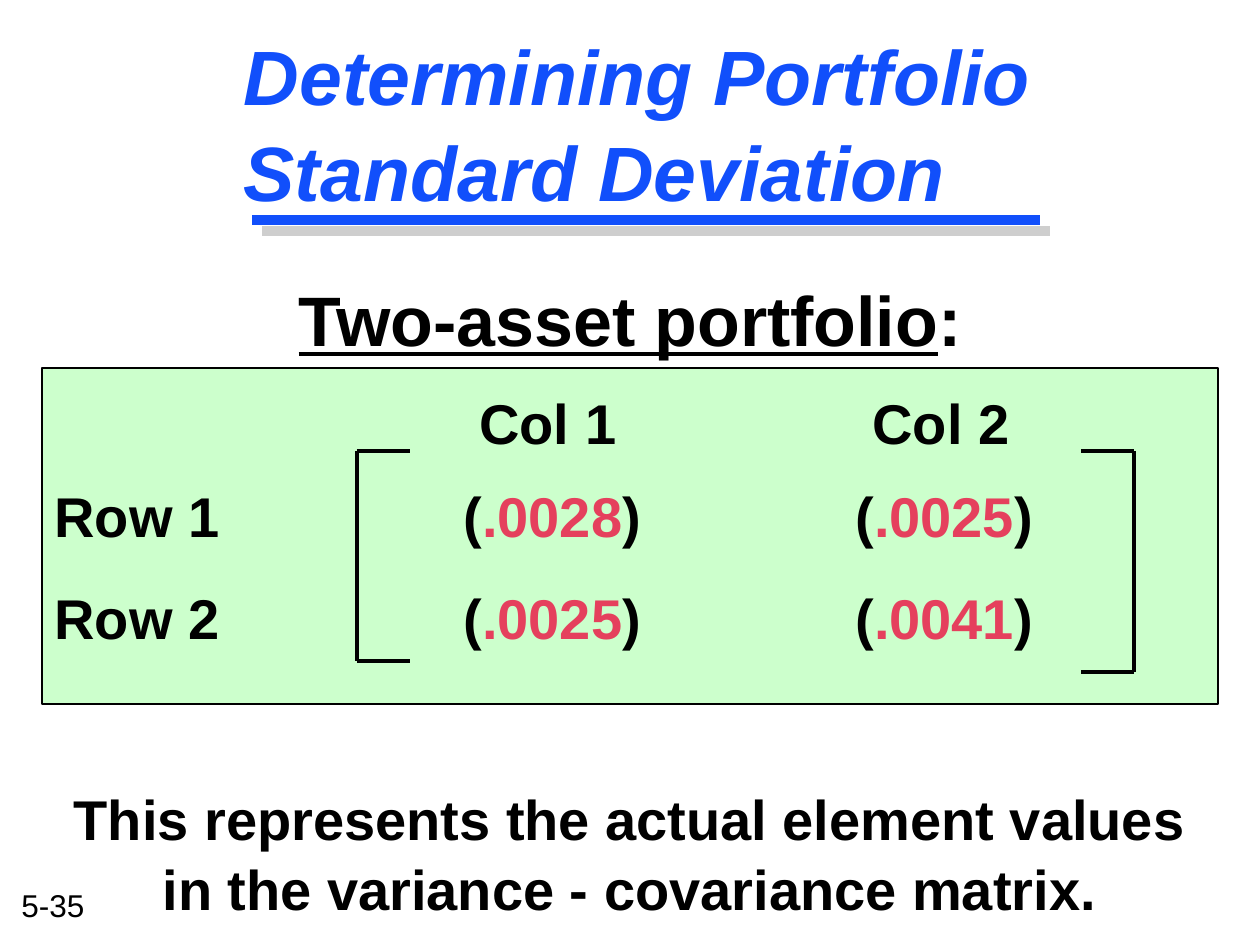
from pptx import Presentation
from pptx.dml.color import RGBColor
from pptx.enum.shapes import MSO_CONNECTOR, MSO_SHAPE
from pptx.enum.text import MSO_ANCHOR, PP_ALIGN
from pptx.oxml import parse_xml
from pptx.oxml.ns import nsdecls
from pptx.util import Emu, Pt
from lxml.etree import SubElement
from pptx.oxml.ns import qn

PX = 914400 / 126
BLACK = RGBColor(0x00, 0x00, 0x00)
BLUE = RGBColor(0x11, 0x4F, 0xFB)
GREY = RGBColor(0xCE, 0xCE, 0xCE)
GREEN = RGBColor(0xCC, 0xFF, 0xCC)
RED = RGBColor(0xE5, 0x40, 0x5D)


def add_run(paragraph, text, size, color=BLACK, bold=True):
    run = paragraph.add_run()
    run.text = text
    run.font.name = "Arial"
    run.font.size = Pt(size)
    run.font.bold = bold
    run.font.color.rgb = color
    return run


def add_line(x1, y1, x2, y2, color, width):
    ends = [Emu(round(v * PX)) for v in (x1, y1, x2, y2)]
    line = slide.shapes.add_connector(MSO_CONNECTOR.STRAIGHT, *ends)
    line.line.color.rgb = color
    line.line.width = Pt(width)
    SubElement(line._element.spPr, qn("a:effectLst"))


prs = Presentation()
prs.slide_width, prs.slide_height = round(1260 * PX), round(945 * PX)
slide = prs.slides.add_slide(prs.slide_layouts[5])

# Slide number
number = slide.shapes.add_textbox(*[round(v * PX) for v in (9, 880, 92, 50)])
number.text_frame.word_wrap = False
add_run(number.text_frame.paragraphs[0], "5-35", 18, bold=False)

# Matrix panel
panel = slide.shapes.add_shape(
    MSO_SHAPE.RECTANGLE, *[round(v * PX) for v in (42, 368, 1176, 336)])
panel.shadow.inherit = False
panel.fill.solid()
panel.fill.fore_color.rgb = GREEN
panel.line.color.rgb = BLACK
panel.line.width = Pt(1)

# Heading, matrix rows and conclusion
body = slide.shapes.add_textbox(*[round(v * PX) for v in (42, 270, 1176, 654)])
body.text_frame.word_wrap = True
heading = body.text_frame.paragraphs[0]
heading.alignment = PP_ALIGN.CENTER
add_run(heading, "Two-asset portfolio", 40).font.underline = True
add_run(heading, ":", 40)

# Label, cells, gap above, tab stops
matrix_rows = [
    ("", ("Col 1", "Col 2"), 26, (425, 818)),
    ("Row 1", (".0028", ".0025"), 23, (409, 801)),
    ("Row 2", (".0025", ".0041"), 32, (409, 801)),
]
for label, cells, gap, stops in matrix_rows:
    row = body.text_frame.add_paragraph()
    row.space_before = Emu(round(gap * PX))
    row.line_spacing = 1.04
    tabs = SubElement(row._p.get_or_add_pPr(), qn("a:tabLst"))
    for stop in stops:
        SubElement(tabs, qn("a:tab"), pos=str(round(stop * PX)), algn="l")
    if label:
        add_run(row, label, 32)
    for cell in cells:
        if label:
            add_run(row, "\t(", 32)
            add_run(row, cell, 32, RED)
            add_run(row, ")", 32)
        else:
            add_run(row, "\t" + cell, 32)

conclusion = body.text_frame.add_paragraph()
conclusion.alignment = PP_ALIGN.CENTER
conclusion.space_before = Emu(round(131 * PX))
conclusion.line_spacing = 1.04
add_run(conclusion, "This represents the actual element values "
        "in the variance - covariance matrix.", 32)

# Title with shadowed text
add_line(262, 231, 1050, 231, GREY, 6)
title = slide.shapes.title
title.left, title.top, title.width, title.height = [
    round(v * PX) for v in (231, 0, 1018, 242)]
title.text_frame.vertical_anchor = MSO_ANCHOR.MIDDLE
title.text_frame.word_wrap = True
title_line = title.text_frame.paragraphs[0]
title_line.alignment = PP_ALIGN.LEFT
title_line.line_spacing = 1.04
title_run = add_run(title_line, "Determining Portfolio Standard Deviation", 44, BLUE)
title_run.font.italic = True
title_run.font._element.find(qn("a:solidFill")).addnext(parse_xml(
    f'<a:effectLst {nsdecls("a")}><a:outerShdw dist="53882" dir="2700000">'
    f'<a:srgbClr val="{GREY}"/></a:outerShdw></a:effectLst>'))
add_line(252, 220, 1040, 220, BLUE, 6)

# Matrix brackets: spine, tip, bottom
top = 451
for spine, tip, bottom in [(357, 410, 661), (1134, 1081, 672)]:
    add_line(spine, top, spine, bottom, BLACK, 2)
    for y in (top, bottom):
        add_line(spine, y, tip, y, BLACK, 2)

prs.save("out.pptx")
